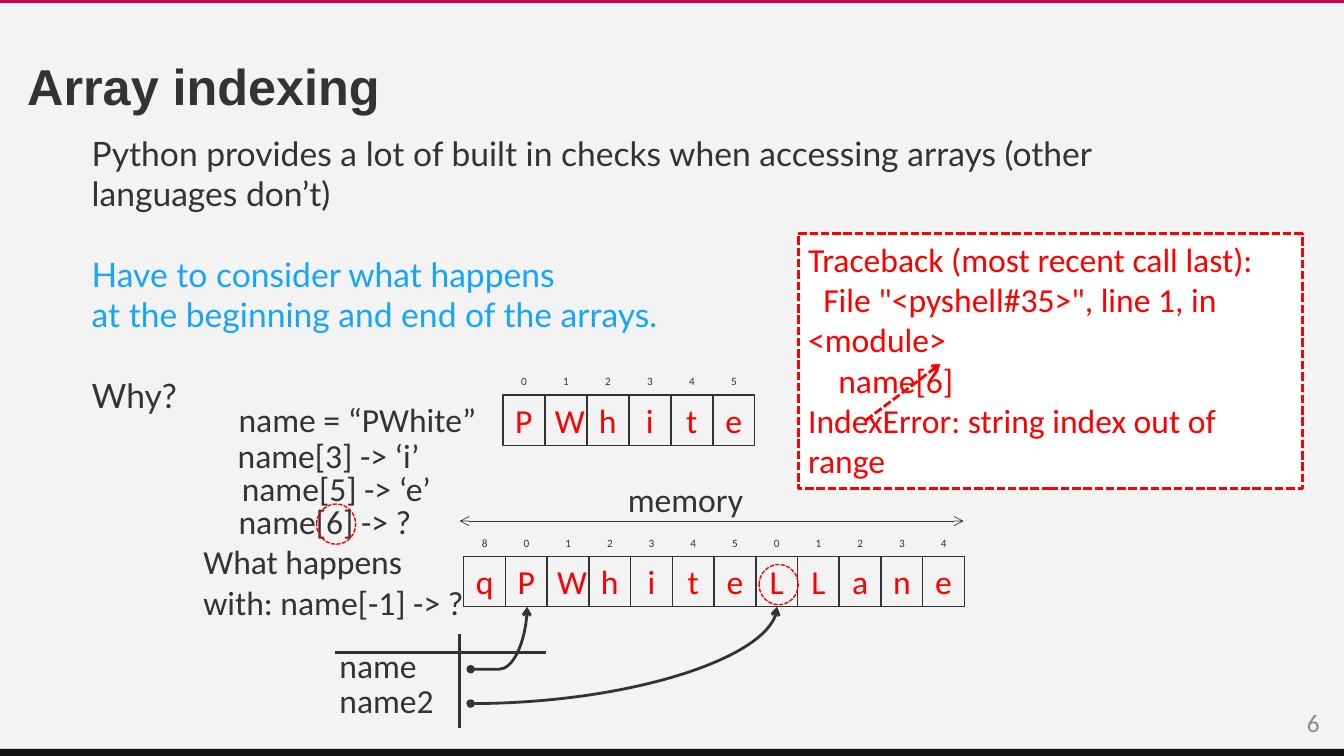
"""Build the slide on array indexing and how strings lie in memory."""
from dataclasses import dataclass

from lxml.etree import SubElement
from pptx import Presentation
from pptx.dml.color import RGBColor
from pptx.enum.dml import MSO_LINE
from pptx.enum.shapes import MSO_CONNECTOR, MSO_SHAPE
from pptx.enum.text import MSO_ANCHOR, MSO_AUTO_SIZE, PP_ALIGN
from pptx.oxml.ns import qn
from pptx.shapes.autoshape import Shape
from pptx.shapes.connector import Connector
from pptx.slide import Slide
from pptx.util import Pt

DARK = RGBColor(0x33, 0x33, 0x33)
RED = RGBColor(0xFF, 0, 0)
BLUE = RGBColor(0x16, 0xA4, 0xFD)
GRAY = RGBColor(0x8C, 0x8C, 0x8C)
PINK = RGBColor(0xC8, 0, 0x54)
BLACK = RGBColor(0x10, 0x10, 0x10)
WHITE = RGBColor(0xFF, 0xFF, 0xFF)
PAPER = RGBColor(0xF3, 0xF3, 0xF3)


@dataclass(frozen=True)
class Box:
    """Place and size in points."""
    left: float
    top: float
    width: float
    height: float


@dataclass(frozen=True)
class Para:
    """One paragraph with its look."""
    text: str
    color: RGBColor = DARK
    size: float = 24
    font: str = "Calibri"
    bold: bool = False
    align: PP_ALIGN = PP_ALIGN.LEFT
    before: float = 0
    indent: float = 0


@dataclass(frozen=True)
class Row:
    """A strip of memory cells with an index above each."""
    left: float
    top: float
    pitch: float
    chars: str
    marks: str


@dataclass(frozen=True)
class Link:
    """A line with its ends, weight and arrowheads."""
    start: tuple[float, float]
    end: tuple[float, float]
    width: float = 2
    head: str = "none"
    tail: str = "none"
    color: RGBColor = DARK
    dash: bool = False
    kind: MSO_CONNECTOR = MSO_CONNECTOR.STRAIGHT


TITLE = Para("Array indexing", size=36, font="Arial", bold=True)
BODY = [
    Para("Python provides a lot of built in checks when accessing arrays "
         "(other languages don’t)", font="Lato"),
    Para("Have to consider what happens", BLUE, font="Lato", before=28.8),
    Para("at the beginning and end of the arrays.", BLUE, font="Lato"),
    Para("Why?", font="Lato", before=28.8),
]
ERROR = [
    Para("Traceback (most recent call last):", RED),
    Para('File "<pyshell#35>", line 1, in <module>', RED, indent=10.8),
    Para("name[6]", RED, indent=21.6),
    Para("IndexError: string index out of range", RED),
]
NOTES = [
    (Box(163.4, 281.5, 194, 36.5), "name = “PWhite”"),
    (Box(162.7, 307.4, 149, 36.5), "name[3] -> ‘i’"),
    (Box(165.6, 330.5, 179, 36.5), "name[5] -> ‘e’"),
    (Box(163.4, 354.2, 149, 36.5), "name[6] -> ?"),
    (Box(138.2, 383, 209, 65.5), "What happens with: name[-1] -> ?"),
    (Box(441.4, 338.4, 135, 36.5), "memory"),
    (Box(235.4, 457.2, 93, 36.5), "name"),
    (Box(235.4, 482.4, 148, 36.5), "name2"),
]
ROWS = [
    Row(359.2, 282.2, 30, "PWhite", "012345"),
    Row(331.2, 397.4, 29.8, "qPWhiteLLane", "801234501234"),
]
RINGS = [Box(226.1, 360, 28, 28.8), Box(542.2, 403.2, 28, 28.8)]
LINES = [
    Link((328.3, 372.2), (688.3, 372.2), 0.5, "arrow", "arrow"),
    Link((328.3, 452.9), (328.3, 519.8)),
    Link((239, 465.8), (390.2, 465.8)),
]
NAME = Link((378.7, 475.9), (334.1, 435.6), head="oval", tail="arrow",
            kind=MSO_CONNECTOR.CURVE)
NAME2 = Link((336.2, 502.6), (555.1, 433.4), head="oval", tail="arrow",
             kind=MSO_CONNECTOR.CURVE)
FAULT = Link((618.5, 300.2), (671.8, 259.9), tail="arrow", color=RED, dash=True)


def place(shape: Shape, box: Box) -> None:
    """Move and size a shape."""
    shape.left, shape.top = Pt(box.left), Pt(box.top)
    shape.width, shape.height = Pt(box.width), Pt(box.height)


def write(shape: Shape, paras: list[Para], anchor: MSO_ANCHOR = MSO_ANCHOR.TOP) -> None:
    """Fill a shape with formatted paragraphs."""
    frame = shape.text_frame
    frame.word_wrap = True
    frame.auto_size = MSO_AUTO_SIZE.NONE
    frame.vertical_anchor = anchor
    for i, item in enumerate(paras):
        para = frame.add_paragraph() if i else frame.paragraphs[0]
        para.text = item.text
        props = para._p.get_or_add_pPr()
        props.set("marL", "0")
        props.set("indent", str(Pt(item.indent)))
        SubElement(props, qn("a:buNone"))
        para.alignment = item.align
        para.space_before = Pt(item.before)
        font = para.font
        font.name, font.size, font.bold = item.font, Pt(item.size), item.bold
        font.color.rgb = item.color


def label(slide: Slide, box: Box, para: Para) -> None:
    """Add a text box."""
    shape = slide.shapes.add_textbox(
        Pt(box.left), Pt(box.top), Pt(box.width), Pt(box.height))
    write(shape, [para])


def draw(slide: Slide, box: Box, fill: RGBColor | None = None,
         line: RGBColor | None = None, width: float = 1, dash: bool = False,
         kind: MSO_SHAPE = MSO_SHAPE.RECTANGLE) -> Shape:
    """Add a preset shape."""
    shape = slide.shapes.add_shape(
        kind, Pt(box.left), Pt(box.top), Pt(box.width), Pt(box.height))
    shape.shadow.inherit = False
    if fill is None:
        shape.fill.background()
    else:
        shape.fill.solid()
        shape.fill.fore_color.rgb = fill
    if line is None:
        shape.line.fill.background()
    else:
        shape.line.color.rgb = line
        shape.line.width = Pt(width)
        if dash:
            shape.line.dash_style = MSO_LINE.SQUARE_DOT
    return shape


def join(slide: Slide, link: Link) -> Connector:
    """Add a line with its arrowheads."""
    wire = slide.shapes.add_connector(
        link.kind, *(Pt(n) for n in (*link.start, *link.end)))
    wire.line.color.rgb = link.color
    wire.line.width = Pt(link.width)
    if link.dash:
        wire.line.dash_style = MSO_LINE.SQUARE_DOT
    props = wire._element.spPr
    for tag, kind in (("a:headEnd", link.head), ("a:tailEnd", link.tail)):
        SubElement(props.find(qn("a:ln")), qn(tag), type=kind)
    SubElement(props, qn("a:effectLst"))
    return wire


def strip(slide: Slide, row: Row) -> None:
    """Draw one row of cells."""
    for i, (char, mark) in enumerate(zip(row.chars, row.marks)):
        left = row.left + i * row.pitch
        cell = draw(slide, Box(left, row.top, 30, 36), line=DARK)
        write(cell, [Para(char, RED, align=PP_ALIGN.CENTER)], MSO_ANCHOR.MIDDLE)
        label(slide, Box(left + 3, row.top - 18, 24, 17),
              Para(mark, size=8, align=PP_ALIGN.CENTER))


def main() -> None:
    """Build and save the slide."""
    deck = Presentation()
    deck.slide_width, deck.slide_height = Pt(960), Pt(540)
    slide = deck.slides.add_slide(deck.slide_layouts[1])
    slide.background.fill.solid()
    slide.background.fill.fore_color.rgb = PAPER
    title, body = slide.placeholders
    place(title, Box(12.2, 25.9, 710.6, 76.3))
    write(title, [TITLE], MSO_ANCHOR.MIDDLE)
    title.text_frame.paragraphs[0].line_spacing = 0.9
    place(body, Box(58.3, 91.4, 742.3, 156.2))
    write(body, BODY)
    draw(slide, Box(0, 535, 960, 5), BLACK)
    draw(slide, Box(0, 0, 960, 2), PINK)
    label(slide, Box(787.7, 501.8, 162, 28.8),
          Para("6", GRAY, 18, align=PP_ALIGN.RIGHT))
    for row in ROWS:
        strip(slide, row)
    for box, text in NOTES:
        label(slide, box, Para(text))
    for link in LINES:
        join(slide, link)
    props = join(slide, NAME)._element.spPr
    props.find(qn("a:xfrm")).set("rot", "5400000")
    guides = props.find(qn("a:prstGeom")).find(qn("a:avLst"))
    SubElement(guides, qn("a:gd"), name="adj1", fmla="val -100")
    props = join(slide, NAME2)._element.spPr
    props.find(qn("a:prstGeom")).set("prst", "curvedConnector2")
    for ring in RINGS:
        draw(slide, ring, line=RED, dash=True, kind=MSO_SHAPE.OVAL)
    panel = draw(slide, Box(570.2, 167, 360, 182.2), WHITE, RED, 2, True)
    write(panel, ERROR)
    join(slide, FAULT)
    deck.save("out.pptx")


if __name__ == "__main__":
    main()
